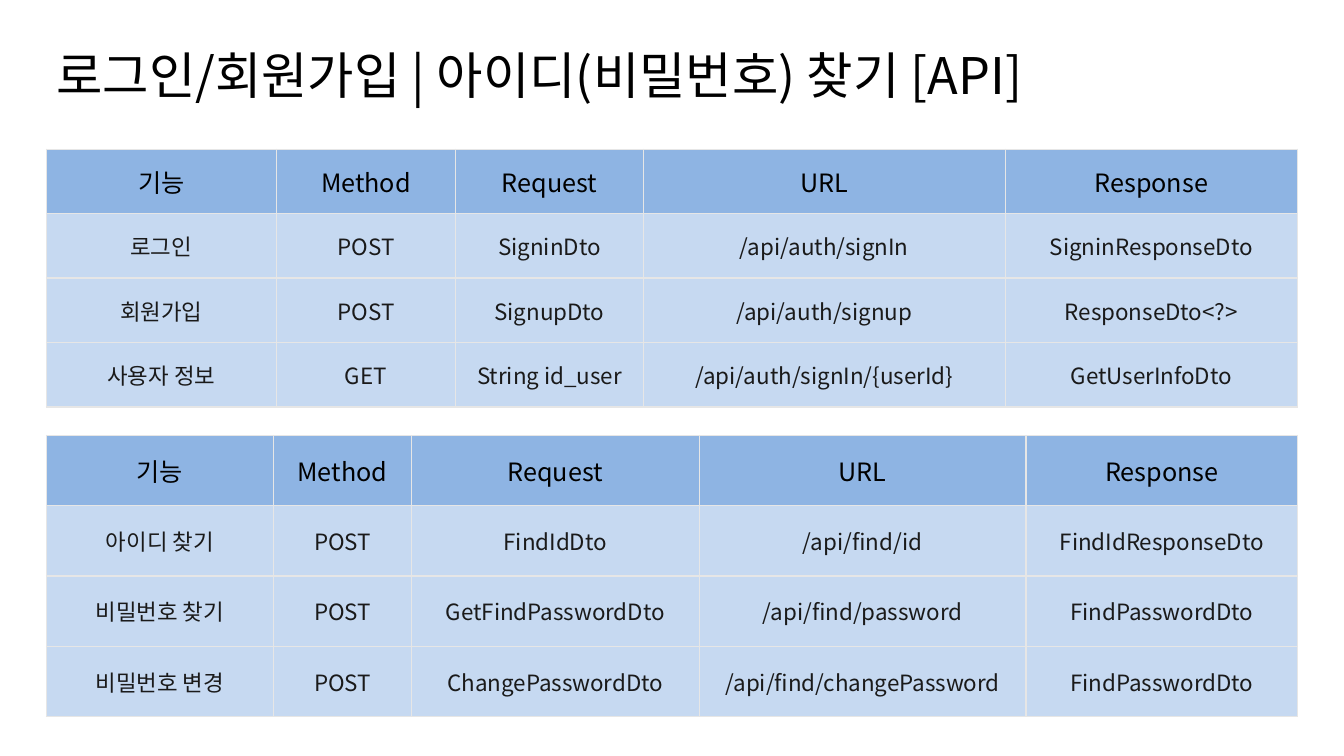
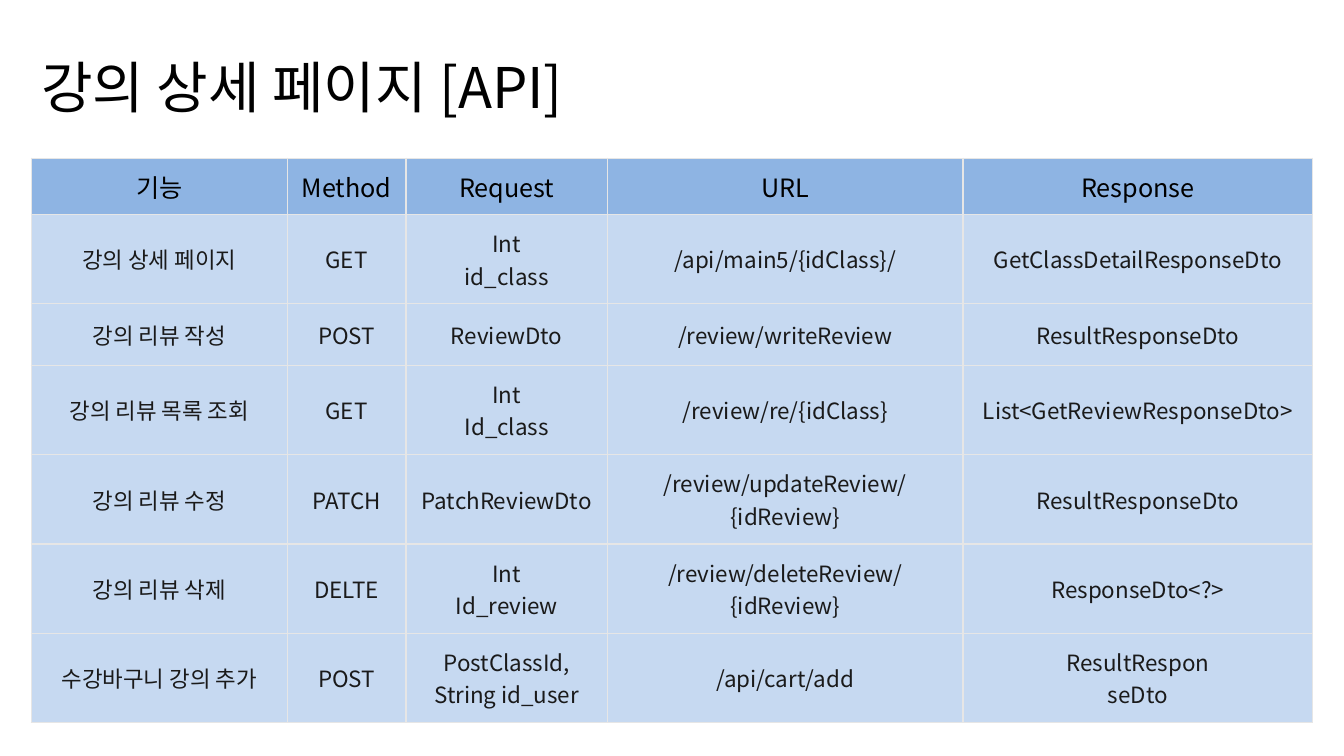
"""Build two slides of API tables: sign-in with account recovery, and the class detail page."""
from pptx import Presentation, util as u
from pptx.dml.color import RGBColor
from pptx.enum import text as t
from pptx.oxml import parse_xml
from pptx.oxml.ns import nsdecls

FONT = "Noto Sans CJK KR"
HUES = {"head": "8EB4E3", "body": "C6D9F1", "edge": "E6E6E6", "ink": "000000", "soft": "1A1A1A"}
HEAD = ["기능", "Method", "Request", "URL", "Response"]

deck = Presentation()
deck.slide_width, deck.slide_height = u.Inches(13.33), u.Inches(7.5)
W, H = deck.slide_width, deck.slide_height

PAGES = [
    {
        "title": "로그인/회원가입 | 아이디(비밀번호) 찾기 [API]",
        "size": 36, "left": 3.45, "top": 5.2,
        "grids": [
            {
                "top": 19.73, "tall": 34.1,
                "cols": [2.28, 1.78, 1.86, 3.59, 2.9], "rows": [1] * 4,
                "data": [
                    ["로그인", "POST", "SigninDto", "/api/auth/signIn", "SigninResponseDto"],
                    ["회원가입", "POST", "SignupDto", "/api/auth/signup", "ResponseDto<?>"],
                    ["사용자 정보", "GET", "String id_user", "/api/auth/signIn/{userId}", "GetUserInfoDto"],
                ],
            },
            {
                "top": 57.6, "tall": 37.2,
                "cols": [2.25, 1.37, 2.85, 3.24, 2.69], "rows": [1] * 4,
                "data": [
                    ["아이디 찾기", "POST", "FindIdDto", "/api/find/id", "FindIdResponseDto"],
                    ["비밀번호 찾기", "POST", "GetFindPasswordDto", "/api/find/password", "FindPasswordDto"],
                    ["비밀번호 변경", "POST", "ChangePasswordDto", "/api/find/changePassword", "FindPasswordDto"],
                ],
            },
        ],
    },
    {
        "title": "강의 상세 페이지 [API]",
        "size": 40, "left": 2.33, "top": 6.27,
        "grids": [
            {
                "top": 20.93, "tall": 74.7,
                "cols": [2.54, 1.18, 2, 3.53, 3.47], "rows": [0.56, 0.89, 0.61] + [0.89] * 4,
                "data": [
                    ["강의 상세 페이지", "GET", "Int\nid_class", "/api/main5/{idClass}/", "GetClassDetailResponseDto"],
                    ["강의 리뷰 작성", "POST", "ReviewDto", "/review/writeReview", "ResultResponseDto"],
                    ["강의 리뷰 목록 조회", "GET", "Int\nId_class", "/review/re/{idClass}", "List<GetReviewResponseDto>"],
                    ["강의 리뷰 수정", "PATCH", "PatchReviewDto", "/review/updateReview/{idReview}", "ResultResponseDto"],
                    ["강의 리뷰 삭제", "DELTE", "Int\nId_review", "/review/deleteReview/{idReview}", "ResponseDto<?>"],
                    ["수강바구니 강의 추가", "POST", "PostClassId,\nString id_user", "/api/cart/add", "ResultRespon\nseDto"],
                ],
            },
        ],
    },
]


def write(frame, words, size, hue, align):
    frame.text = words
    for para in frame.paragraphs:
        para.alignment = align
        for run in para.runs:
            run.font.size, run.font.name = u.Pt(size), FONT
            run.font.color.rgb = RGBColor.from_string(HUES[hue])
            run.font._element.append(parse_xml(f'<a:ea {nsdecls("a")} typeface="{FONT}"/>'))


def edge(cell):
    props = cell._tc.get_or_add_tcPr()
    for side in "LRTB":
        props.append(parse_xml(
            f'<a:ln{side} {nsdecls("a")} w="{u.Pt(1)}"><a:solidFill>'
            f'<a:srgbClr val="{HUES["edge"]}"/></a:solidFill></a:ln{side}>'))


for page in PAGES:
    slide = deck.slides.add_slide(deck.slide_layouts[6])
    left = int(W * page["left"] / 100)
    wide = W - 2 * left
    box = slide.shapes.add_textbox(left, int(H * page["top"] / 100), int(W * 0.93), int(H * 0.11))
    box.text_frame.word_wrap = True
    write(box.text_frame, page["title"], page["size"], "ink", t.PP_ALIGN.LEFT)

    for grid in page["grids"]:
        cols, rows = grid["cols"], grid["rows"]
        tall = int(H * grid["tall"] / 100)
        table = slide.shapes.add_table(
            len(rows), len(cols), left, int(H * grid["top"] / 100), wide, tall).table
        table.first_row = table.horz_banding = False
        for col, share in zip(table.columns, cols):
            col.width = int(wide * share / sum(cols))
        for row, share in zip(table.rows, rows):
            row.height = int(tall * share / sum(rows))
        for r, line in enumerate([HEAD] + grid["data"]):
            fill, size, ink = ("body", 16, "soft") if r else ("head", 18, "ink")
            for c, words in enumerate(line):
                cell = table.cell(r, c)
                cell.vertical_anchor = t.MSO_ANCHOR.MIDDLE
                edge(cell)
                cell.fill.solid()
                cell.fill.fore_color.rgb = RGBColor.from_string(HUES[fill])
                write(cell.text_frame, words, size, ink, t.PP_ALIGN.CENTER)

deck.save("out.pptx")
